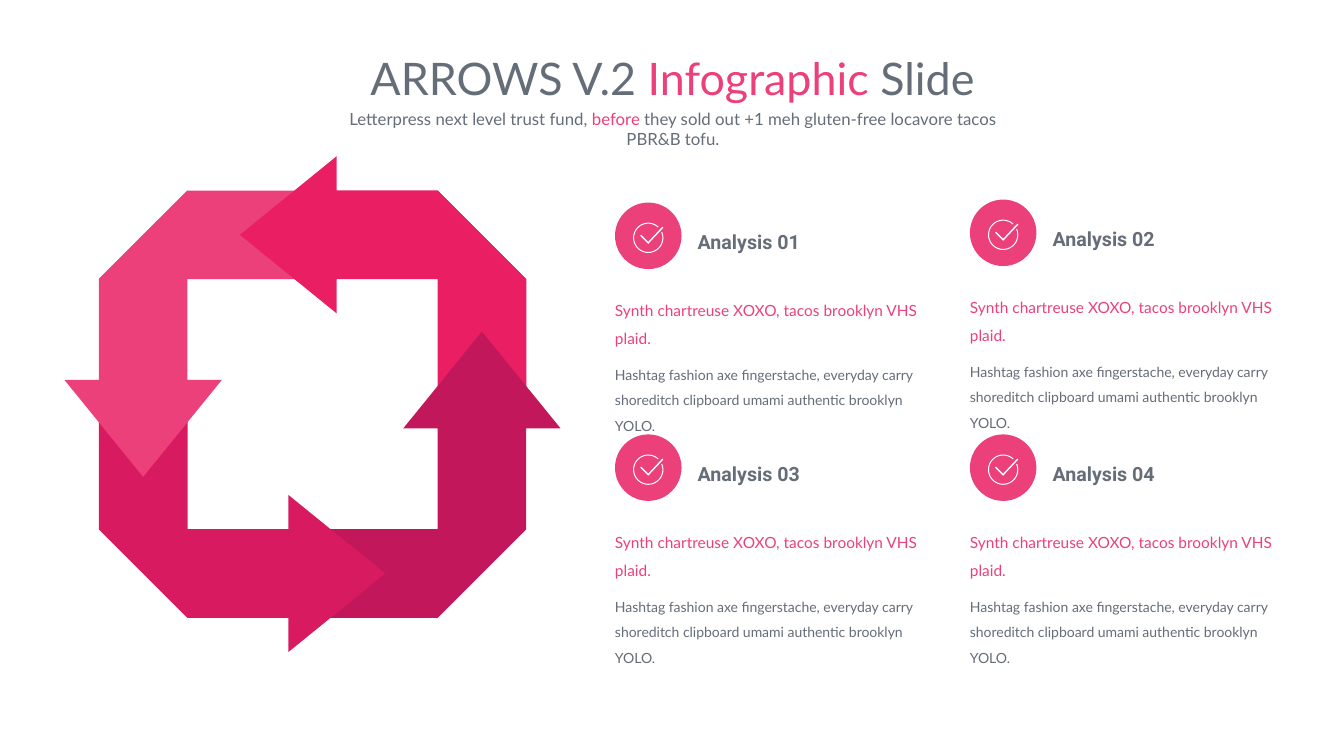
from math import cos, radians, sin

from pptx import Presentation
from pptx.dml.color import RGBColor
from pptx.enum.shapes import MSO_SHAPE
from pptx.enum.text import MSO_ANCHOR, MSO_AUTO_SIZE, PP_ALIGN
from pptx.util import Inches, Pt

# Content: text runs are (words, colour name)
TITLE = [("ARROWS V.2 ", "grey"), ("Infographic ", "pink"), ("Slide", "grey")]
LEAD = [("Letterpress next level trust fund, ", "grey"), ("before", "pink"),
        (" they sold out +1 meh gluten-free locavore tacos PBR&B tofu.", "grey")]
CLAIM = "Synth chartreuse XOXO, tacos brooklyn VHS plaid."
DETAIL = ("Hashtag fashion axe fingerstache, everyday carry shoreditch "
          "clipboard umami authentic brooklyn YOLO.")
CARDS = [("Analysis 01", 6.1, 2.01), ("Analysis 02", 9.62, 1.98),
         ("Analysis 03", 6.1, 4.31), ("Analysis 04", 9.62, 4.31)]

THEME = {
    "colour": {"grey": "656D78", "pink": "EC407A", "white": "FFFFFF",
               "rose": "E91E63", "wine": "C2185B", "ruby": "D81B60"},
    "size": {"title": 32, "lead": 12, "head": 14, "claim": 11, "detail": 10},
    "body": "Lato", "head": "Roboto",
}

# Arrow ring: points from its centre, for the arrow that points left
CENTRE = (3.1, 4.01)
TAIL = [(1.24, -2.12), (1.24, 0.24), (2.12, 0.24), (2.12, -1.24)]
ARROW = [(2.12, -1.24), (1.24, -2.12), (0.24, -2.12), (0.24, -2.46),
         (-0.72, -1.68), (0.24, -0.9), (0.24, -1.24)]
TURNS = ["rose", "wine", "ruby", "pink"]

# Check icon: points from its centre
TICK = [(0, 0.04), (-0.07, -0.03), (-0.08, -0.02), (0, 0.06),
        (0.15, -0.1), (0.14, -0.11)]
ARC = [radians(a) for a in range(-23, 316, 6)]
RING = ([(0.15 * cos(a), 0.15 * sin(a)) for a in ARC]
        + [(0.14 * cos(a), 0.14 * sin(a)) for a in reversed(ARC)])


def tint(name):
    return RGBColor.from_string(THEME["colour"][name])


def apply(item, form):
    for key, value in form.items():
        setattr(item, key, value)


def paint(shape, name):
    shape.shadow.inherit = False
    shape.fill.solid()
    shape.fill.fore_color.rgb = tint(name)
    shape.line.fill.background()


def outline(shapes, loops, mid, name):
    """Draw one filled shape from closed loops placed around mid."""
    pen = None
    for loop in loops:
        spots = [(Inches(mid[0] + x), Inches(mid[1] + y)) for x, y in loop]
        if pen is None:
            pen = shapes.build_freeform(*spots[0])
        else:
            pen.move_to(*spots[0])
        pen.add_line_segments(spots[1:], close=True)
    paint(pen.convert_to_shape(), name)


def write(para, runs, size, font="body", bold=False, **form):
    apply(para, form)
    for words, name in runs:
        run = para.add_run()
        run.text = words
        apply(run.font, {"size": Pt(THEME["size"][size]),
                         "name": THEME[font], "bold": bold})
        run.font.color.rgb = tint(name)


def box(shapes, *place, **form):
    frame = shapes.add_textbox(*map(Inches, place)).text_frame
    apply(frame, {"word_wrap": True, **form})
    return frame


deck = Presentation()
apply(deck, {"slide_width": Inches(13.33), "slide_height": Inches(7.5)})
slide = deck.slides.add_slide(deck.slide_layouts[5])
GROW = {"auto_size": MSO_AUTO_SIZE.SHAPE_TO_FIT_TEXT}
FLUSH = dict.fromkeys(
    ["margin_left", "margin_top", "margin_right", "margin_bottom"], 0)

# Title and lead
title = slide.shapes.title
apply(title, {"left": Inches(2.54), "top": Inches(0.45),
              "width": Inches(8.26), "height": Inches(0.64)})
apply(title.text_frame, {"word_wrap": True, "vertical_anchor": MSO_ANCHOR.TOP,
                         **GROW})
write(title.text_frame.paragraphs[0], TITLE, "title",
      alignment=PP_ALIGN.CENTER)
lead = box(slide.shapes, 3.2, 1.03, 6.95, 0.3, **GROW)
write(lead.paragraphs[0], LEAD, "lead", alignment=PP_ALIGN.CENTER)

# Arrow ring: each quarter turn overlaps the last, the first head ends on top
ring = slide.shapes.add_group_shape().shapes
parts = [(part, turn) for turn in range(4) for part in (TAIL, ARROW)]
parts.append(parts.pop(1))
for part, turn in parts:
    loop = part
    for _ in range(turn):
        loop = [(-y, x) for x, y in loop]
    outline(ring, [loop], CENTRE, TURNS[turn])

# Analysis cards
for name, x, y in CARDS:
    card = slide.shapes.add_group_shape().shapes
    disc = card.add_shape(MSO_SHAPE.ROUNDED_RECTANGLE,
                          *map(Inches, (x, y, 0.66, 0.66)))
    disc.adjustments[0] = 0.5
    paint(disc, "pink")
    head = box(card, x + 0.82, y + 0.21, 1.93, 0.28,
               vertical_anchor=MSO_ANCHOR.MIDDLE, **GROW, **FLUSH)
    write(head.paragraphs[0], [(name, "grey")], "head", "head", True,
          line_spacing=1.3)
    text = box(card, x, y + 0.89, 3.1, 0.87, **FLUSH)
    gap = {"line_spacing": 1.5, "space_before": Pt(7.5)}
    write(text.paragraphs[0], [(CLAIM, "pink")], "claim", **gap)
    write(text.add_paragraph(), [(DETAIL, "grey")], "detail", **gap)
    outline(card, [RING, TICK], (x + 0.33, y + 0.35), "white")

deck.save("out.pptx")
